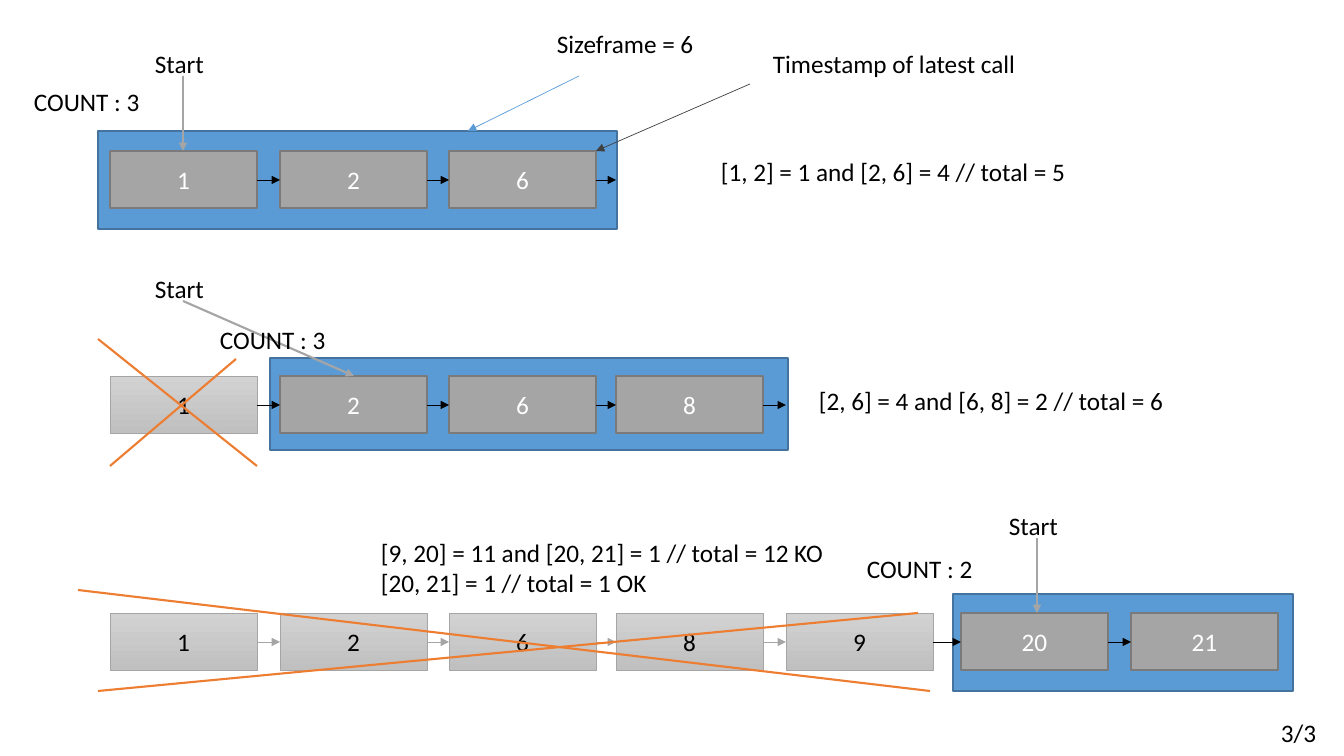
from lxml import etree
from pptx import Presentation
from pptx.dml.color import RGBColor
from pptx.enum.shapes import MSO_CONNECTOR as Connector, MSO_SHAPE as Shape
from pptx.enum.text import MSO_ANCHOR as Anchor, MSO_AUTO_SIZE as AutoSize, PP_ALIGN as Align
from pptx.oxml.ns import qn
from pptx.util import Pt

SCALE = 9071.43  # EMU per pixel
SLIDE_SIZE = (1344, 756)
COLORS = {
    "black": "000000", "white": "FFFFFF", "blue": "5B9BD5", "blue edge": "43739E",
    "gray": "A5A5A5", "gray edge": "7A7A7A", "pale top": "D2D2D2",
    "pale bottom": "C0C0C0", "dark": "404040", "orange": "ED7D31",
}
FONT = {"name": "Calibri", "size": Pt(18)}
LABEL_FRAME = {"word_wrap": True, "auto_size": AutoSize.SHAPE_TO_FIT_TEXT}
CELL_FRAME = {"word_wrap": True, "vertical_anchor": Anchor.MIDDLE}

# Cells share one set of columns in all rows
COLUMNS = [110, 280, 449, 616, 786, 961, 1131]
CELL_WIDTH, CELL_HEIGHT = 147, 57

ROWS = [
    {"top": 151, "frame": (98, 131, 519, 98), "values": [1, 2, 6],
     "dropped": 0, "open_end": True},
    {"top": 376, "frame": (270, 358, 518, 92), "values": [1, 2, 6, 8],
     "dropped": 1, "open_end": True},
    {"top": 613, "frame": (953, 594, 340, 97), "values": [1, 2, 6, 8, 9, 20, 21],
     "dropped": 5, "open_end": False},
]
# Start and end point, color, width
POINTERS = [
    ((183, 76), (183, 151), "gray", 1.5),
    ((183, 301), (354, 376), "gray", 1.5),
    ((1037, 538), (1037, 613), "gray", 1.5),
    ((579, 76), (468, 131), "blue", 0.5),
    ((750, 84), (596, 151), "dark", 0.5),
]
STRIKES = [
    ((98, 339), (257, 466)), ((110, 466), (236, 359)),
    ((78, 590), (930, 691)), ((98, 691), (918, 613)),
]
# Left, top, width, lines
LABELS = [
    (145, 43, 78, ["Start"]),
    (145, 268, 78, ["Start"]),
    (999, 505, 78, ["Start"]),
    (547, 23, 220, ["Sizeframe = 6"]),
    (763, 43, 309, ["Timestamp of latest call"]),
    (24, 81, 147, ["COUNT : 3"]),
    (210, 319, 147, ["COUNT : 3"]),
    (857, 548, 147, ["COUNT : 2"]),
    (711, 151, 515, ["[1, 2] = 1 and [2, 6] = 4 // total = 5"]),
    (809, 380, 515, ["[2, 6] = 4 and [6, 8] = 2 // total = 6"]),
    (371, 532, 515, ["[9, 20] = 11 and [20, 21] = 1 // total = 12 KO",
                     "[20, 21] = 1 // total = 1 OK"]),
    (1271, 712, 72, ["3/3"]),
]


def px(*lengths):
    return [round(length * SCALE) for length in lengths]


def rgb(color):
    return RGBColor.from_string(COLORS[color])


def set_format(target, values):
    for name, value in values.items():
        setattr(target, name, value)


def write_lines(text_frame, lines, color, frame_format, align=Align.LEFT):
    set_format(text_frame, frame_format)
    text_frame.text = "\n".join(lines)
    for paragraph in text_frame.paragraphs:
        paragraph.alignment = align
        set_format(paragraph.font, FONT)
        paragraph.font.color.rgb = rgb(color)


def add_box(slide, bounds, fill, edge, edge_width):
    box = slide.shapes.add_shape(Shape.RECTANGLE, *px(*bounds))
    box.shadow.inherit = False
    if isinstance(fill, tuple):
        box.fill.gradient()
        box.fill.gradient_angle = 270
        for stop, color in zip(box.fill.gradient_stops, fill):
            stop.color.rgb = rgb(color)
    else:
        box.fill.solid()
        box.fill.fore_color.rgb = rgb(fill)
    box.line.color.rgb = rgb(edge)
    box.line.width = Pt(edge_width)
    return box


def add_cell(slide, left, top, value, dropped):
    bounds = (left, top, CELL_WIDTH, CELL_HEIGHT)
    if dropped:
        cell = add_box(slide, bounds, ("pale top", "pale bottom"), "gray", 0.5)
    else:
        cell = add_box(slide, bounds, "gray", "gray edge", 1)
    color = "black" if dropped else "white"
    write_lines(cell.text_frame, [str(value)], color, CELL_FRAME, Align.CENTER)


def add_line(slide, start, end, color, width, arrow=True):
    line = slide.shapes.add_connector(Connector.STRAIGHT, *px(*start, *end))
    line.line.color.rgb = rgb(color)
    line.line.width = Pt(width)
    if arrow:
        outline = line.line._get_or_add_ln()
        etree.SubElement(outline, qn("a:tailEnd"), type="triangle")
    etree.SubElement(line._element.spPr, qn("a:effectLst"))


def add_label(slide, left, top, width, lines):
    label = slide.shapes.add_textbox(*px(left, top, width, 10 + 30 * len(lines)))
    write_lines(label.text_frame, lines, "black", LABEL_FRAME)


def add_row(slide, top, frame, values, dropped, open_end):
    add_box(slide, frame, "blue", "blue edge", 1)
    for index, value in enumerate(values):
        add_cell(slide, COLUMNS[index], top, value, index < dropped)
    # Each arrow runs from a cell to the next column
    middle = top + CELL_HEIGHT // 2 + 1
    for index in range(len(values) if open_end else len(values) - 1):
        color = "gray" if index + 1 < dropped else "black"
        start = (COLUMNS[index] + CELL_WIDTH, middle)
        add_line(slide, start, (COLUMNS[index + 1], middle), color, 0.5)


def main():
    presentation = Presentation()
    presentation.slide_width, presentation.slide_height = px(*SLIDE_SIZE)
    slide = presentation.slides.add_slide(presentation.slide_layouts[6])
    # Queue states
    for row in ROWS:
        add_row(slide, **row)
    # Pointers and labels
    for pointer in POINTERS:
        add_line(slide, *pointer)
    for label in LABELS:
        add_label(slide, *label)
    # Crossed-out cells
    for start, end in STRIKES:
        add_line(slide, start, end, "orange", 1.5, arrow=False)
    presentation.save("out.pptx")


main()
